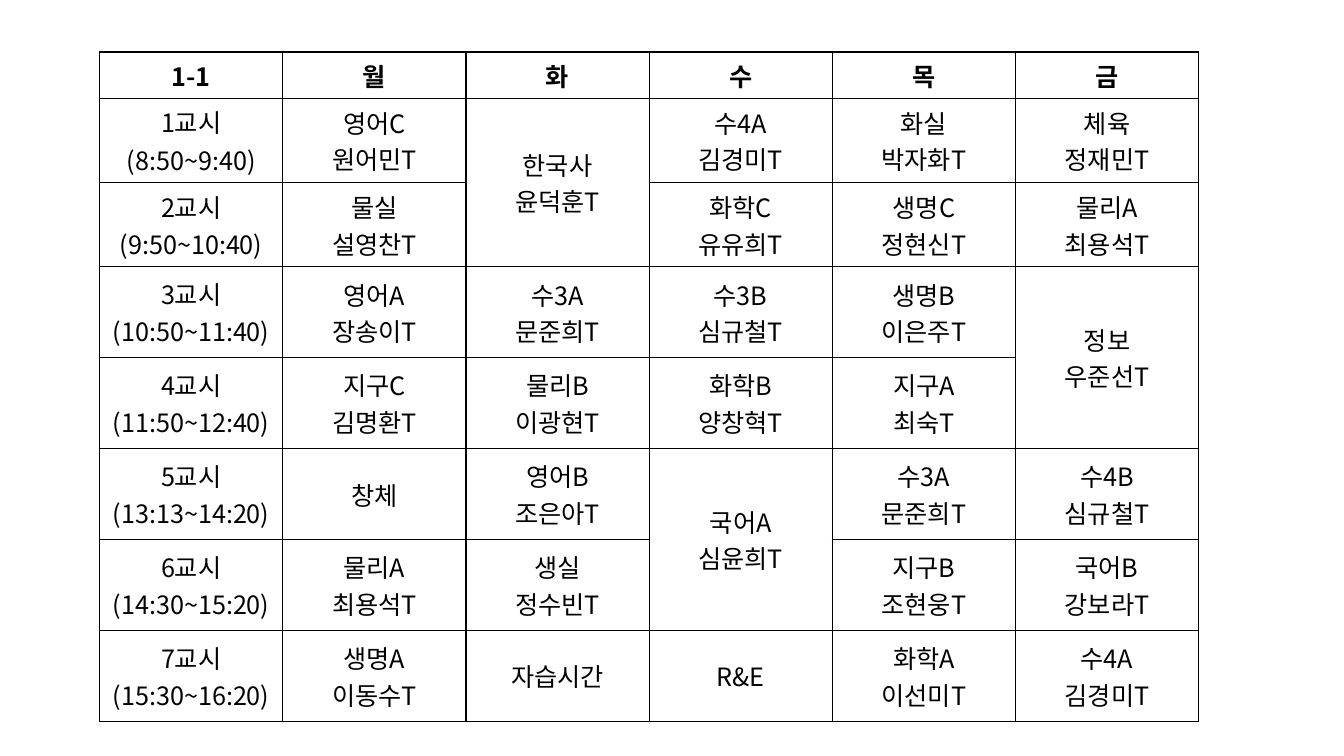
from lxml.etree import SubElement as Sub
from pptx import Presentation as Deck
from pptx.dml.color import RGBColor as Rgb
from pptx.enum.text import MSO_ANCHOR as Anchor, PP_ALIGN as Align
from pptx.oxml.ns import qn
from pptx.util import Cm, Pt

COLORS = {"ink": "000000", "paper": "FFFFFF"}
FONT = "Noto Sans CJK KR"
HEAD = ["1-1", "월", "화", "수", "목", "금"]
HOURS = [
    ["1교시\n(8:50~9:40)", "영어C\n원어민T", "한국사\n윤덕훈T", "수4A\n김경미T", "화실\n박자화T", "체육\n정재민T"],
    ["2교시\n(9:50~10:40)", "물실\n설영찬T", None, "화학C\n유유희T", "생명C\n정현신T", "물리A\n최용석T"],
    ["3교시\n(10:50~11:40)", "영어A\n장송이T", "수3A\n문준희T", "수3B\n심규철T", "생명B\n이은주T", "정보\n우준선T"],
    ["4교시\n(11:50~12:40)", "지구C\n김명환T", "물리B\n이광현T", "화학B\n양창혁T", "지구A\n최숙T", None],
    ["5교시\n(13:13~14:20)", "창체", "영어B\n조은아T", "국어A\n심윤희T", "수3A\n문준희T", "수4B\n심규철T"],
    ["6교시\n(14:30~15:20)", "물리A\n최용석T", "생실\n정수빈T", None, "지구B\n조현웅T", "국어B\n강보라T"],
    ["7교시\n(15:30~16:20)", "생명A\n이동수T", "자습시간", "R&E", "화학A\n이선미T", "수4A\n김경미T"],
]
HEIGHTS = [1.17] + [2.12] * 2 + [2.29] * 5


def frame(cell):
    props = cell._tc.get_or_add_tcPr()
    for side in ("lnL", "lnR", "lnT", "lnB"):
        line = Sub(props, qn(f"a:{side}"), w=str(Pt(1)))
        fill = Sub(line, qn("a:solidFill"))
        Sub(fill, qn("a:srgbClr"), val=COLORS["ink"])
    cell.fill.solid()
    cell.fill.fore_color.rgb = Rgb.from_string(COLORS["paper"])


def write(cell, text, bold, gap):
    cell.vertical_anchor = Anchor.MIDDLE
    body = cell.text_frame
    for i, words in enumerate(text.split("\n")):
        para = body.add_paragraph() if i else body.paragraphs[0]
        para.alignment = Align.CENTER
        para.space_before = para.space_after = Pt(gap)
        run = para.add_run()
        run.text = words
        font = run.font
        font.size, font.bold, font.name = Pt(18), bold, FONT
        font.color.rgb = Rgb.from_string(COLORS["ink"])
        Sub(run._r.get_or_add_rPr(), qn("a:ea"), typeface=FONT)


def draw_week(slide, left, top, width):
    rows = [HEAD] + HOURS
    shape = slide.shapes.add_table(
        len(rows), len(HEAD), Cm(left), Cm(top), Cm(width), Cm(sum(HEIGHTS)))
    grid = shape.table
    for col in grid.columns:
        col.width = Cm(width / len(HEAD))
    for r, (row, high) in enumerate(zip(rows, HEIGHTS)):
        grid.rows[r].height = Cm(high)
        for c, text in enumerate(row):
            cell = grid.cell(r, c)
            frame(cell)
            if text is None:
                grid.cell(r - 1, c).merge(cell)
            else:
                write(cell, text, r == 0, 0 if c else 0.3)


def main():
    deck = Deck()
    deck.slide_width, deck.slide_height = Cm(33.87), Cm(19.05)
    slide = deck.slides.add_slide(deck.slide_layouts[6])
    draw_week(slide, 2.51, 1.31, 27.7)
    deck.save("out.pptx")


if __name__ == "__main__":
    main()
